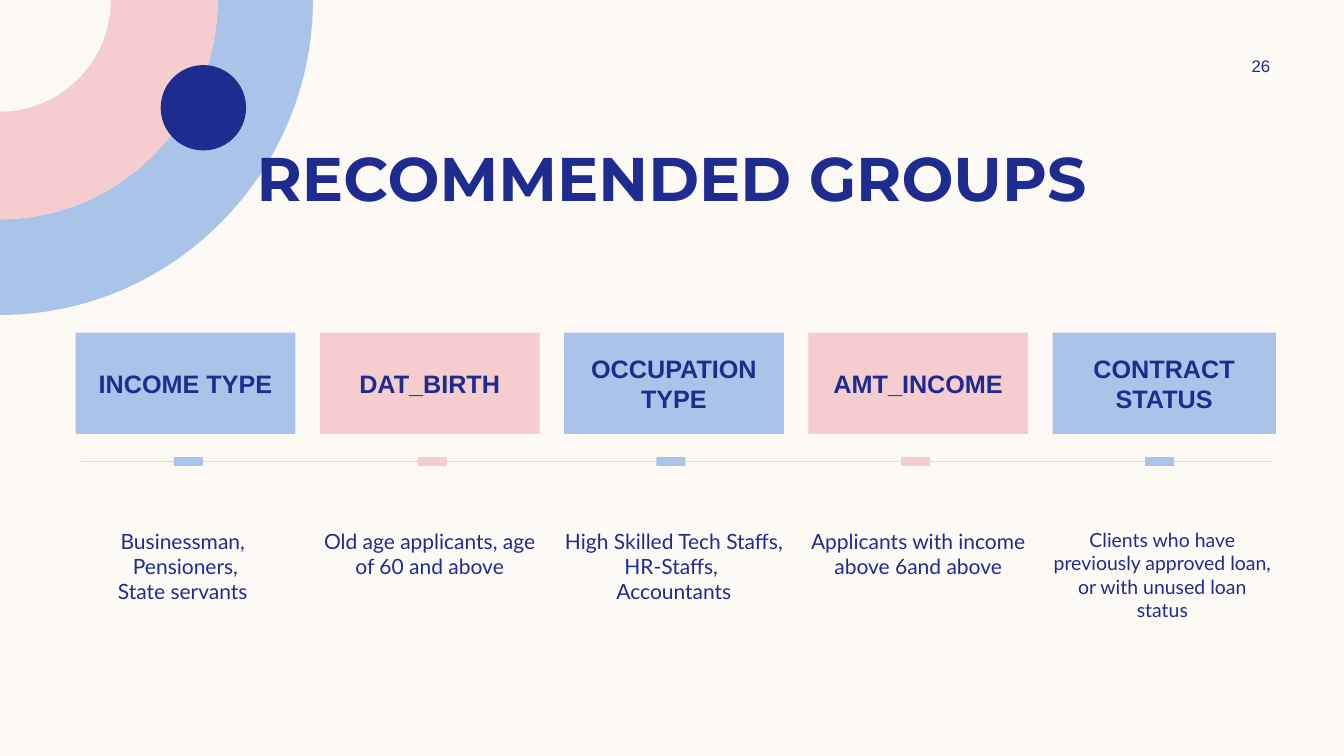
from dataclasses import dataclass

from lxml import etree
from pptx import Presentation
from pptx.dml.color import RGBColor
from pptx.enum.shapes import MSO_CONNECTOR, MSO_SHAPE
from pptx.enum.text import MSO_ANCHOR, MSO_AUTO_SIZE, PP_ALIGN
from pptx.oxml.ns import qn
from pptx.util import Pt

RECTANGLE, OVAL = MSO_SHAPE.RECTANGLE, MSO_SHAPE.OVAL
STRAIGHT = MSO_CONNECTOR.STRAIGHT
TOP, MIDDLE, BOTTOM = MSO_ANCHOR.TOP, MSO_ANCHOR.MIDDLE, MSO_ANCHOR.BOTTOM
CENTER = PP_ALIGN.CENTER
NO_AUTOFIT = MSO_AUTO_SIZE.NONE
TITLE_ONLY = 5
ARC_HANDLE = 0.55


@dataclass(frozen=True)
class Theme:
    cream: str = "FDFAF6"
    navy: str = "1F2C8F"
    blue: str = "AAC3E8"
    pink: str = "F5CDCE"
    rule: str = "F2D1D1"
    title_font: str = "Montserrat"
    label_font: str = "Arial"
    body_font: str = "Lato"
    title_size: float = 44
    heading_size: float = 18
    body_size: float = 15
    small_body_size: float = 13.9
    number_size: float = 12


@dataclass(frozen=True)
class Group:
    heading: str
    detail: str
    marker_center: float
    detail_size: float = Theme.body_size
    heading_width: float = 157


THEME = Theme()
GROUPS = [
    Group("INCOME TYPE", "Businessman, \nPensioners,\nState servants ", 134.6),
    Group("DAT_BIRTH", "Old age applicants, age of 60 and above", 308.8),
    Group("OCCUPATION\nTYPE", "High Skilled Tech Staffs, \nHR-Staffs, \nAccountants", 479.2),
    Group("AMT_INCOME", "Applicants with income above 6and above", 654.1),
    Group("CONTRACT\nSTATUS",
          "Clients who have previously approved loan, or with unused loan status",
          828.4, THEME.small_body_size, 159.5),
]
COLUMN_LEFT, COLUMN_PITCH, COLUMN_WIDTH = 54, 174.45, 157
RULE_Y = 329.7


def color(code):
    return RGBColor.from_string(code)


def place(shape, left, top, width, height):
    shape.left, shape.top = Pt(left), Pt(top)
    shape.width, shape.height = Pt(width), Pt(height)


def paint(shape, fill):
    shape.shadow.inherit = False
    shape.fill.solid()
    shape.fill.fore_color.rgb = color(fill)
    shape.line.fill.background()


def write(shape, text, font, size, bold=False, anchor=MIDDLE, insets=(0, 0)):
    """Set centred navy text; insets are the side and the top/bottom margins."""
    frame = shape.text_frame
    frame.text = text
    frame.word_wrap = True
    frame.auto_size = NO_AUTOFIT
    frame.vertical_anchor = anchor
    side, edge = insets
    frame.margin_left = frame.margin_right = Pt(side)
    frame.margin_top = frame.margin_bottom = Pt(edge)
    for para in frame.paragraphs:
        para.alignment = CENTER
        for span in para.runs:
            span.font.name = font
            span.font.size = Pt(size)
            span.font.bold = bold
            span.font.color.rgb = color(THEME.navy)


def add_block(page, kind, left, top, width, height, fill):
    block = page.shapes.add_shape(kind, Pt(left), Pt(top), Pt(width), Pt(height))
    paint(block, fill)
    return block


def add_text(page, left, top, width, height, text, font, size, **style):
    box = page.shapes.add_textbox(Pt(left), Pt(top), Pt(width), Pt(height))
    write(box, text, font, size, **style)


def bend(segment, points):
    """Turn a straight outline segment into a Bézier curve through the given points."""
    curve = etree.Element(qn("a:cubicBezTo"))
    for x, y in points:
        etree.SubElement(curve, qn("a:pt"), x=str(Pt(x)), y=str(Pt(y)))
    segment.getparent().replace(segment, curve)


def quarter_arc(width, height):
    """Handles and end of the arc from (width, 0) to (0, height)."""
    return [(width, height * ARC_HANDLE), (width * ARC_HANDLE, height), (0, height)]


def add_quarter_ring(page, width, height, fill, hole=None):
    """Fill a quarter ellipse in the top left corner, less a smaller one if given."""
    corners = [(width, 0), (0, height)]
    start = (0, 0)
    if hole:
        start = (hole[0], 0)
        corners += [(0, hole[1]), start]
    builder = page.shapes.build_freeform(Pt(start[0]), Pt(start[1]))
    builder.add_line_segments([(Pt(x), Pt(y)) for x, y in corners], close=True)
    ring = builder.convert_to_shape()
    segments = list(ring._element.iter(qn("a:lnTo")))
    bend(segments[1], quarter_arc(width, height))
    if hole:
        first, second, _ = quarter_arc(*hole)
        bend(segments[3], [second, first, start])
    paint(ring, fill)


def add_rule(page, left, right, y):
    rule = page.shapes.add_connector(STRAIGHT, Pt(left), Pt(y), Pt(right), Pt(y))
    rule.line.color.rgb = color(THEME.rule)
    rule.line.width = Pt(1)
    etree.SubElement(rule._element.spPr, qn("a:effectLst"))


def add_corner_art(page):
    pink_size = (155.5, 156.7)
    add_quarter_ring(page, 223.5, 225, THEME.blue, hole=pink_size)
    add_quarter_ring(page, *pink_size, THEME.pink)
    add_quarter_ring(page, 79.2, 79.7, THEME.cream)
    add_block(page, OVAL, 114.8, 46.5, 61, 61, THEME.navy)


def add_group(page, group, left, fill):
    heading = add_block(page, RECTANGLE, left, 237.6, group.heading_width, 72.3, fill)
    write(heading, group.heading, THEME.label_font, THEME.heading_size, bold=True)
    add_block(page, RECTANGLE, group.marker_center - 10.4, RULE_Y - 3.2, 20.8, 6.4, fill)
    add_text(page, left, 373.7, COLUMN_WIDTH, 62.6, group.detail, THEME.body_font,
             group.detail_size, anchor=TOP, insets=(0, 3.6))


def add_title(page, text):
    title = page.shapes.title
    place(title, 60, 96, 840, 60.5)
    write(title, text, THEME.title_font, THEME.title_size, bold=True,
          anchor=BOTTOM, insets=(7.2, 3.6))
    # Keep the title in front of the corner rings.
    page.shapes._spTree.append(title._element)


def main():
    deck = Presentation()
    deck.slide_width, deck.slide_height = Pt(960), Pt(540)
    page = deck.slides.add_slide(deck.slide_layouts[TITLE_ONLY])
    page.background.fill.solid()
    page.background.fill.fore_color.rgb = color(THEME.cream)

    add_corner_art(page)
    add_rule(page, 58.2, 909.4, RULE_Y)
    add_title(page, "RECOMMENDED GROUPS")
    add_text(page, 861.8, 36, 77.8, 21.6, "26", THEME.label_font, THEME.number_size)
    for index, group in enumerate(GROUPS):
        fill = THEME.pink if index % 2 else THEME.blue
        add_group(page, group, COLUMN_LEFT + index * COLUMN_PITCH, fill)

    deck.save("out.pptx")


if __name__ == "__main__":
    main()
